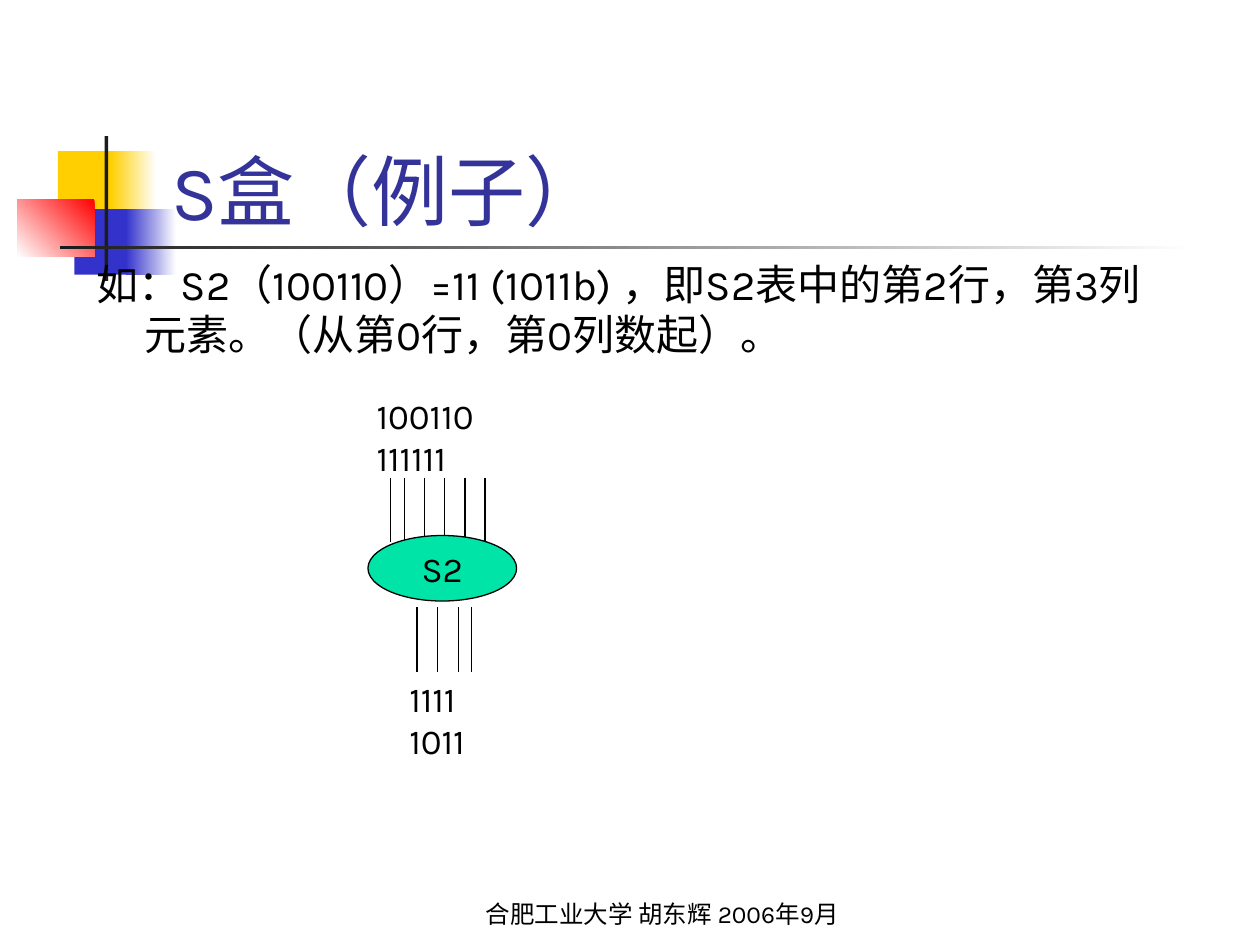
from lxml.etree import SubElement
from pptx import Presentation
from pptx.dml.color import RGBColor
from pptx.enum.shapes import MSO_CONNECTOR as CONN, MSO_SHAPE as SHAPE
from pptx.enum.text import MSO_ANCHOR as ANCHOR, MSO_AUTO_SIZE as AUTO, PP_ALIGN as ALIGN
from pptx.oxml.ns import qn
from pptx.util import Inches, Pt

COLS, ROWS = 100, 75
CELL = Inches(10) // COLS
FONT = "Karla"
BLACK = RGBColor(0x00, 0x00, 0x00)
WHITE = RGBColor(0xFF, 0xFF, 0xFF)
INK = RGBColor(0x1C, 0x1C, 0x1C)
YELLOW = RGBColor(0xFF, 0xCF, 0x01)
BLUE = RGBColor(0x33, 0x33, 0xCC)
RED = RGBColor(0xFF, 0x00, 0x00)
NAVY = RGBColor(0x33, 0x33, 0x99)
GREEN = RGBColor(0x00, 0xE4, 0xA8)


def grid(*cells):
    """Turn grid cells into slide lengths."""
    return [round(c * CELL) for c in cells]


def within(box, x, y, w, h):
    """Shift a part from its box's corner to the slide grid."""
    return box[0] + x, box[1] + y, w, h


def write(sp, lines, size, color=BLACK, align=ALIGN.LEFT, **frame):
    """Write one paragraph per line and apply the frame format."""
    tf = sp.text_frame
    for name, value in ({"word_wrap": True, "auto_size": AUTO.NONE} | frame).items():
        setattr(tf, name, value)
    for i, line in enumerate(lines):
        p = tf.paragraphs[0] if i == 0 else tf.add_paragraph()
        p.alignment = align
        r = p.add_run()
        r.text = line
        for name, value in {"name": FONT, "size": Pt(size)}.items():
            setattr(r.font, name, value)
        r.font.color.rgb = color
    return tf


def add_text(shapes, box, lines, size, **options):
    """Add a text box with its lines."""
    return write(shapes.add_textbox(*grid(*box)), lines, size, **options)


def add_block(shapes, box, start, end=None, angle=180):
    """Add a borderless block in one colour or a gradient."""
    sp = shapes.add_shape(SHAPE.RECTANGLE, *grid(*box))
    sp.shadow.inherit = False
    sp.line.fill.background()
    if end is None:
        sp.fill.solid()
        sp.fill.fore_color.rgb = start
        return
    sp.fill.gradient()
    sp.fill.gradient_angle = angle
    for stop, color, position in zip(sp.fill.gradient_stops, (start, end), (0, 1)):
        stop.color.rgb = color
        stop.position = position


def add_wires(shapes, box, offsets):
    """Add vertical wires at the given columns of the box."""
    left, top, _, height = box
    for x in offsets:
        line = shapes.add_connector(CONN.STRAIGHT, *grid(left + x, top, left + x, top + height))
        line.line.color.rgb = BLACK
        line.line.width = Pt(0.75)
        SubElement(line._element.spPr, qn("a:effectLst"))


def add_ornament(shapes, box):
    """Draw the coloured squares and the crossing rules."""
    parts = [
        ((3.2, 1.2, 4.8, 5.2), YELLOW),
        ((7.4, 1.2, 3.6, 5.2), WHITE, YELLOW),
        ((4.5, 5.8, 4.6, 5.2), BLUE),
        ((8.6, 5.8, 4, 5.2), WHITE, BLUE),
        ((0, 5, 6.1, 4.6), RED, WHITE, 225),
        ((6.9, 0, 0.3, 11.5), INK),
        ((3.4, 8.7, 90, 0.3), WHITE, INK),
    ]
    for part, *paint in parts:
        add_block(shapes, within(box, *part), *paint)


def add_body(shapes, box):
    """Write the worked example with a hanging indent."""
    text = "如：S2（100110）=11 (1011b) ，即S2表中的第2行，第3列元素。（从第0行，第0列数起）。"
    tf = add_text(shapes, box, [text], 24)
    pPr = tf.paragraphs[0]._p.get_or_add_pPr()
    hang = Inches(0.38)
    for name, value in {"marL": hang, "indent": -hang}.items():
        pPr.set(name, str(value))


def add_sbox(shapes, box):
    """Draw the S2 box with its input and output bits."""
    fit = {"word_wrap": False, "auto_size": AUTO.SHAPE_TO_FIT_TEXT}
    add_text(shapes, within(box, 0, 0, 11.5, 7.7), ["100110", "111111"], 20, **fit)
    add_wires(shapes, within(box, 2.1, 7.1, 7.5, 5.1), [0] + [1.1 + 1.6 * i for i in range(5)])
    sp = shapes.add_shape(SHAPE.OVAL, *grid(*within(box, 0.3, 11.7, 11.8, 5.2)))
    sp.shadow.inherit = False
    sp.fill.solid()
    sp.fill.fore_color.rgb = GREEN
    sp.line.color.rgb = BLACK
    sp.line.width = Pt(0.75)
    write(sp, ["S2"], 20, align=ALIGN.CENTER, word_wrap=False, vertical_anchor=ANCHOR.MIDDLE)
    add_wires(shapes, within(box, 4.2, 17.4, 4.3, 5.1), [0, 1.65, 3.3, 4.3])
    add_text(shapes, within(box, 2.6, 22.5, 8.3, 7.7), ["1111", "1011"], 20, **fit)


def main():
    """Build the slide and save it."""
    prs = Presentation()
    prs.slide_width, prs.slide_height = CELL * COLS, CELL * ROWS
    s = prs.slides.add_slide(prs.slide_layouts[6])
    add_ornament(s.shapes, (1.4, 10.8, 93.4, 11.5))
    add_text(s.shapes, (12.6, 6.7, 85.2, 12.5), ["S盒（例子）"], 44,
             color=NAVY, vertical_anchor=ANCHOR.BOTTOM)
    add_body(s.shapes, (6.7, 20, 85, 45))
    add_sbox(s.shapes.add_group_shape().shapes, (28.9, 30.8, 12.1, 30.2))
    add_text(s.shapes, (36.7, 69.2, 31.7, 5), ["合肥工业大学 胡东辉 2006年9月"], 14,
             align=ALIGN.CENTER, vertical_anchor=ANCHOR.BOTTOM)
    prs.save("out.pptx")


if __name__ == "__main__":
    main()
